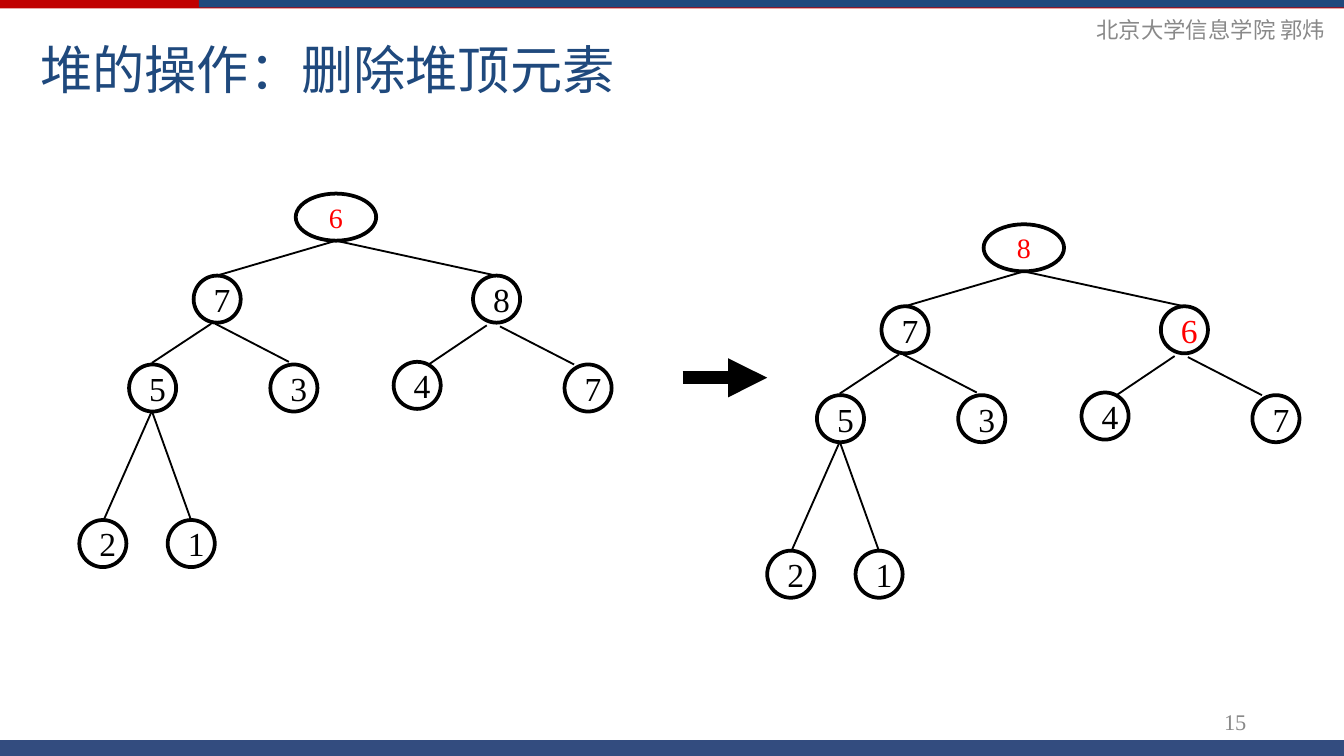
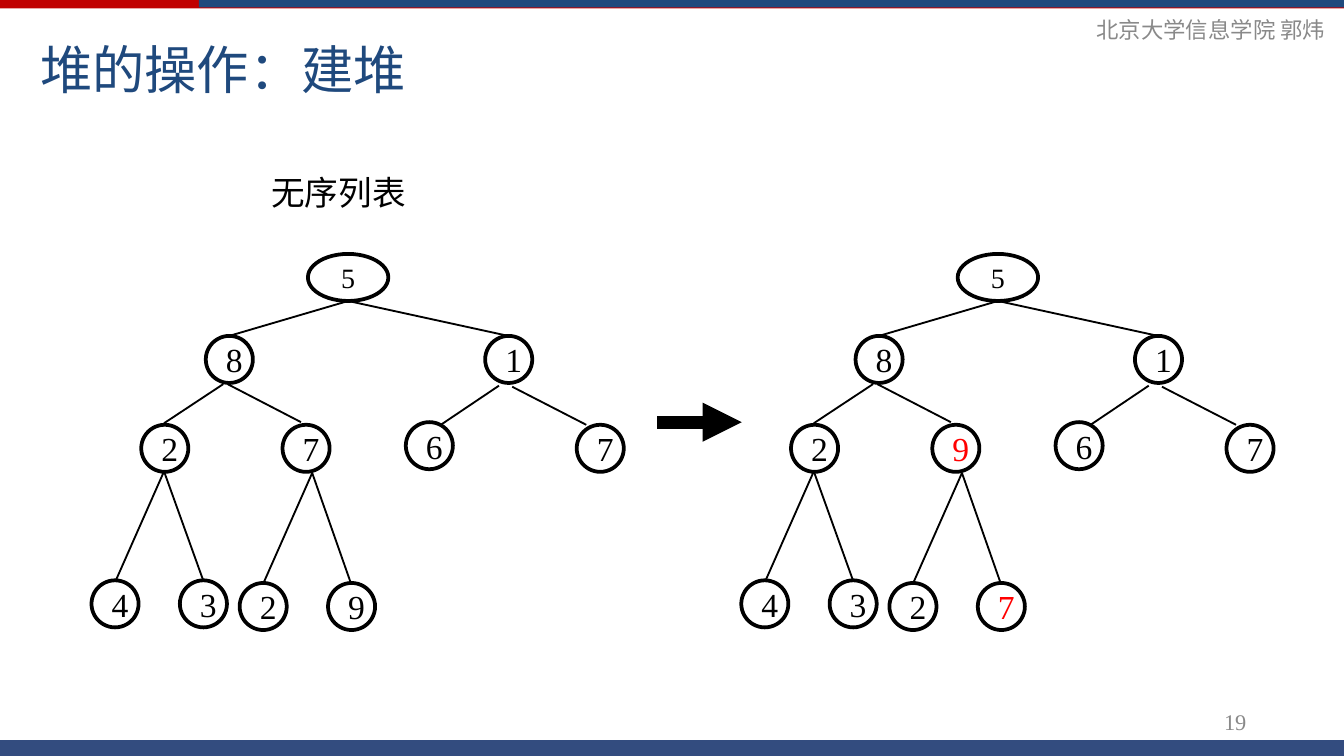
import lxml.etree
import pptx
import pptx.util
import pptx.dml.color
import pptx.enum.shapes
import pptx.enum.text
import pptx.oxml.ns

Cm = pptx.util.Cm
Pt = pptx.util.Pt
Shape = pptx.enum.shapes.MSO_SHAPE
Align = pptx.enum.text.PP_ALIGN
Anchor = pptx.enum.text.MSO_ANCHOR

WIDE, HIGH = 25.4, 14.29
RED, BLUE, NAVY = "C00000", "1F497D", "002060"
GREY, BLACK, MARK = "898989", "000000", "FF0000"
SERIF, SANS = "Times New Roman", "Arial"
NODE, ROOT = 0.89, 1.52

SPOTS = [
    (4.09, 0), (2.16, 1.55), (7.44, 1.55),
    (0.94, 3.23), (3.61, 3.23), (5.94, 3.18), (9.17, 3.23),
    (0, 6.17), (1.67, 6.17), (2.8, 6.22), (4.47, 6.22),
]
EDGES = [
    (4.85, 0.89, 2.6, 1.55), (4.85, 0.89, 7.88, 1.55),
    (2.49, 2.46, 1.37, 3.2), (2.57, 2.46, 3.96, 3.18),
    (7.7, 2.49, 6.6, 3.23), (7.95, 2.51, 9.35, 3.23),
    (1.37, 4.11, 0.46, 6.17), (1.37, 4.11, 2.11, 6.17),
    (4.17, 4.14, 3.25, 6.22), (4.17, 4.14, 4.9, 6.22),
]


def color(code):
    """Turn a hex string into a colour."""
    return pptx.dml.color.RGBColor.from_string(code)


def add(parent, tag, **attrs):
    """Append an XML element to a parent."""
    lxml.etree.SubElement(parent, pptx.oxml.ns.qn(tag), attrs)


def write(shape, text, size, face, code, align):
    """Put one styled paragraph, centred in height, into a shape."""
    frame = shape.text_frame
    frame.text = text
    frame.vertical_anchor = Anchor.MIDDLE
    para = frame.paragraphs[0]
    para.alignment = align
    para.font.size = Pt(size)
    para.font.name = face
    para.font.color.rgb = color(code)


def label(slide, box, text, size, face, code, align):
    """Add a text box."""
    shape = slide.shapes.add_textbox(*map(Cm, box))
    shape.text_frame.word_wrap = True
    write(shape, text, size, face, code, align)
    return shape


def band(slide, box, code):
    """Add a plain filled bar."""
    bar = slide.shapes.add_shape(Shape.RECTANGLE, *map(Cm, box))
    bar.shadow.inherit = False
    bar.fill.solid()
    bar.fill.fore_color.rgb = color(code)
    bar.line.fill.background()
    return bar


def fade(shape, share):
    """Make a solid fill partly clear."""
    tone = shape._element.spPr.find(".//" + pptx.oxml.ns.qn("a:srgbClr"))
    add(tone, "a:alpha", val=str(share * 1000))


def line(slide, ends, width):
    """Draw a straight black line."""
    link = slide.shapes.add_connector(
        pptx.enum.shapes.MSO_CONNECTOR.STRAIGHT, *map(Cm, ends))
    link.line.color.rgb = color(BLACK)
    link.line.width = Pt(width)
    add(link._element.spPr, "a:effectLst")
    return link


def arrow(slide, left, top):
    """Draw the thick arrow between two trees."""
    link = line(slide, (left, top, left + 1.6, top), 7)
    edge = link._element.spPr.find(pptx.oxml.ns.qn("a:ln"))
    add(edge, "a:tailEnd", type="triangle")


def node(slide, left, top, key, root, code):
    """Draw one ringed key of a tree."""
    ring = slide.shapes.add_shape(
        Shape.OVAL, Cm(left), Cm(top), Cm(ROOT if root else NODE), Cm(NODE))
    ring.shadow.inherit = False
    ring.fill.background()
    ring.line.color.rgb = color(BLACK)
    ring.line.width = Pt(2)
    write(ring, key, 15 if root else 18, SERIF, code, Align.CENTER)


def tree(slide, left, top, keys, marks=()):
    """Draw a heap from its keys in level order, marked ones in red."""
    for x1, y1, x2, y2 in EDGES[:len(keys) - 1]:
        line(slide, (left + x1, top + y1, left + x2, top + y2), 1)
    for rank, (key, (x, y)) in enumerate(zip(keys, SPOTS)):
        code = MARK if rank in marks else BLACK
        node(slide, left + x, top + y, key, rank == 0, code)


def page(deck, title, number):
    """Start a slide with its bands, header, title and number."""
    slide = deck.slides.add_slide(deck.slide_layouts[5])
    band(slide, (0, 0, WIDE, 0.16), RED)
    band(slide, (3.76, 0, WIDE - 3.76, 0.14), BLUE)
    fade(band(slide, (0, 13.99, WIDE, 0.3), NAVY), 80)
    label(slide, (19.38, 0.18, 5.92, 0.76), "北京大学信息学院 郭炜",
          12, SERIF, GREY, Align.RIGHT)
    head = slide.shapes.title
    head.left, head.top, head.width, head.height = map(
        Cm, (0.51, 0.36, 22.86, 1.88))
    write(head, title, 28, SANS, BLUE, Align.LEFT)
    label(slide, (22.28, 13.26, 2.13, 0.76), number,
          12, SERIF, GREY, Align.CENTER)
    return slide


def remove(deck):
    """Show a heap before and after its top sinks one level."""
    slide = page(deck, "堆的操作：删除堆顶元素", "15")
    tree(slide, 1.5, 3.66, "678534721", {0})
    arrow(slide, 12.9, 7.14)
    tree(slide, 14.5, 4.24, "876534721", {0, 2})


def build(deck):
    """Show the first step from a loose list to a heap."""
    slide = page(deck, "堆的操作：建堆", "19")
    note = label(slide, (4.88, 3.12, 3.07, 1.02), "无序列表",
                 18, SANS, BLACK, Align.LEFT)
    note.text_frame.word_wrap = False
    note.text_frame.auto_size = pptx.enum.text.MSO_AUTO_SIZE.SHAPE_TO_FIT_TEXT
    tree(slide, 1.73, 4.8, "58127674329")
    arrow(slide, 12.42, 7.98)
    tree(slide, 14.01, 4.8, "58129674327", {4, 10})


def main():
    """Make the deck."""
    deck = pptx.Presentation()
    deck.slide_width, deck.slide_height = Cm(WIDE), Cm(HIGH)
    remove(deck)
    build(deck)
    deck.save("out.pptx")


if __name__ == "__main__":
    main()
